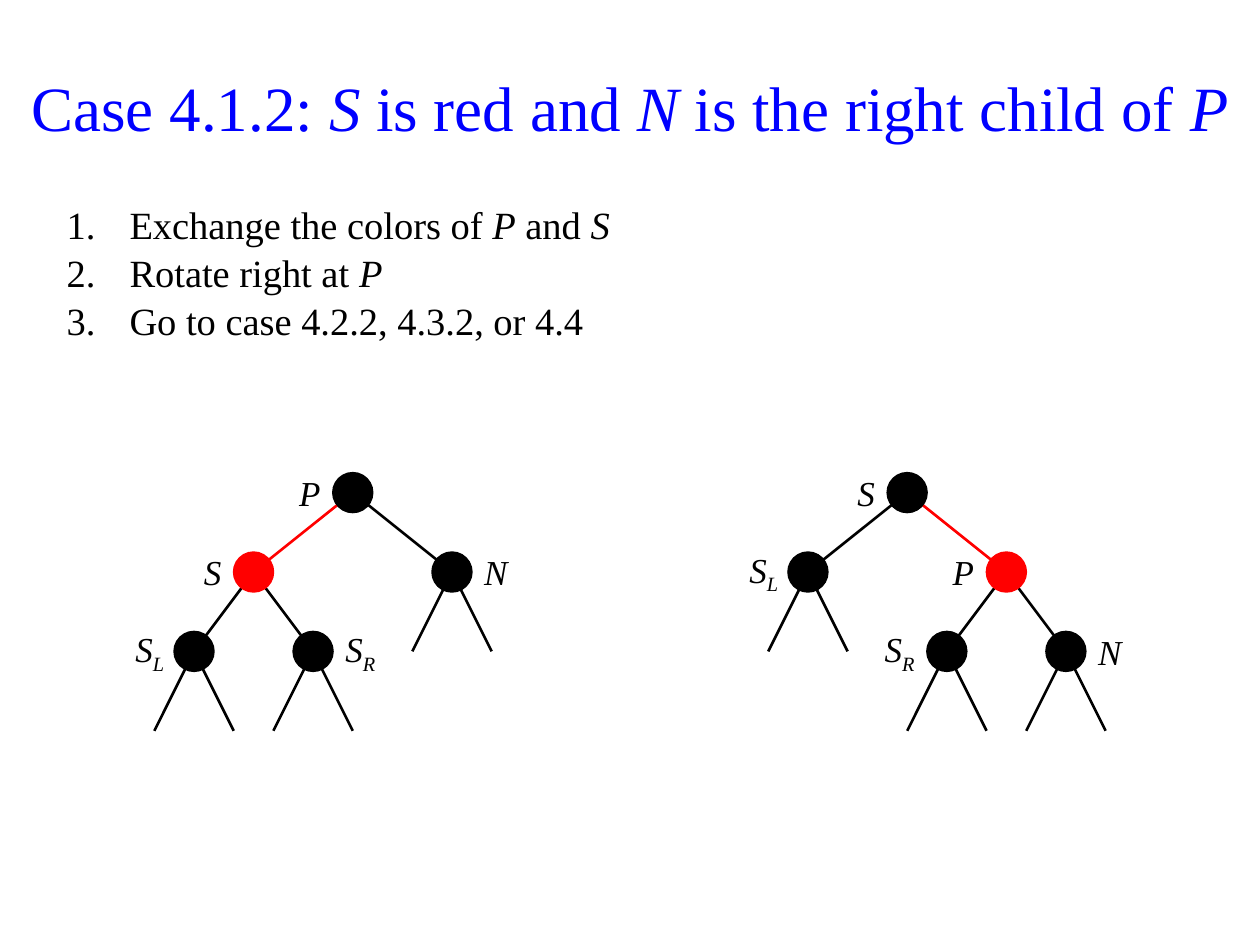
from dataclasses import dataclass
from typing import Optional

from lxml.etree import SubElement
from pptx import Presentation
from pptx.dml.color import RGBColor
from pptx.enum.shapes import MSO_CONNECTOR, MSO_SHAPE
from pptx.enum.text import MSO_ANCHOR, PP_ALIGN
from pptx.oxml.ns import qn
from pptx.util import Inches, Pt

COLORS = {"black": "000000", "red": "FF0000", "blue": "0000FF"}
FONT_NAME = "Times New Roman"
UNIT = 0.63 / 4
LEVEL = 4
ROOT_TOP = 3.91
LEAF_SPREAD = 2


@dataclass(frozen=True)
class Piece:
    text: str
    italic: bool = False
    subscript: bool = False


@dataclass(frozen=True)
class Node:
    label: str
    column: int
    level: int
    parent: Optional[int] = None
    color: str = "black"
    label_right: bool = False
    leaves: bool = True


@dataclass(frozen=True)
class Tree:
    root_left: float
    nodes: tuple[Node, ...]


def rgb(name: str) -> RGBColor:
    """Return a named palette colour."""
    return RGBColor.from_string(COLORS[name])


def apply_format(target, values: dict) -> None:
    """Set every attribute listed in values on the target."""
    for name, value in values.items():
        setattr(target, name, value)


def italic_pieces(text: str) -> list[Piece]:
    """Split text at asterisks, with every second part italic."""
    return [Piece(part, index % 2 == 1)
            for index, part in enumerate(text.split("*")) if part]


def add_text(slide, box: tuple, paragraphs: list, size: int, color="black",
             anchor=MSO_ANCHOR.MIDDLE, align=PP_ALIGN.LEFT, right_inset=0.1,
             numbered=False) -> None:
    """Add a text box with mixed italic and subscript runs."""
    frame = slide.shapes.add_textbox(*map(Inches, box)).text_frame
    apply_format(frame, {"word_wrap": True, "vertical_anchor": anchor,
                         "margin_right": Inches(right_inset)})
    for index, pieces in enumerate(paragraphs):
        paragraph = frame.add_paragraph() if index else frame.paragraphs[0]
        paragraph.alignment = align
        if numbered:
            paragraph.space_before = Pt(1)
            properties = paragraph._p.get_or_add_pPr()
            properties.set("marL", str(Inches(0.5)))
            properties.set("indent", str(Inches(-0.5)))
            SubElement(properties, qn("a:buFont"), typeface=FONT_NAME)
            SubElement(properties, qn("a:buAutoNum"), type="arabicPeriod")
        for piece in pieces:
            run = paragraph.add_run()
            run.text = piece.text
            apply_format(run.font, {"name": FONT_NAME, "size": Pt(size),
                                    "italic": piece.italic})
            run.font.color.rgb = rgb(color)
            if piece.subscript:
                run._r.get_or_add_rPr().set("baseline", "-25000")


def add_edge(slide, start: tuple, end: tuple, color: str) -> None:
    """Draw a straight tree edge between two points."""
    edge = slide.shapes.add_connector(
        MSO_CONNECTOR.STRAIGHT, *map(Inches, start + end))
    edge.line.color.rgb = rgb(color)
    edge.line.width = Pt(1.5)
    SubElement(edge._element.spPr, qn("a:effectLst"))


def add_node(slide, center: tuple, node: Node) -> None:
    """Draw a node circle and its label beside it."""
    left, top = center
    circle = slide.shapes.add_shape(MSO_SHAPE.OVAL, *map(
        Inches, (left - UNIT, top - UNIT, 2 * UNIT, 2 * UNIT)))
    circle.shadow.inherit = False
    circle.fill.solid()
    circle.fill.fore_color.rgb = rgb(node.color)
    circle.line.color.rgb = rgb(node.color)
    circle.line.width = Pt(1)
    label_left = left + (UNIT if node.label_right else -4 * UNIT)
    pieces = [Piece(letter, True, index > 0)
              for index, letter in enumerate(node.label)]
    add_text(slide, (label_left, top - 2 * UNIT, 3 * UNIT, 4 * UNIT), [pieces], 20,
             align=PP_ALIGN.LEFT if node.label_right else PP_ALIGN.RIGHT,
             right_inset=0.08 if node.label == "SL" else 0.1)


def add_tree(slide, tree: Tree) -> None:
    """Draw all edges of a tree, then its nodes."""
    def point(column: int, level: int) -> tuple:
        """Turn a grid position into inches."""
        return tree.root_left + column * UNIT, ROOT_TOP + level * LEVEL * UNIT

    for node in tree.nodes:
        center = point(node.column, node.level)
        if node.parent is not None:
            parent = tree.nodes[node.parent]
            add_edge(slide, point(parent.column, parent.level), center, node.color)
        if node.leaves:
            for shift in (-LEAF_SPREAD, LEAF_SPREAD):
                add_edge(slide, center, point(node.column + shift, node.level + 1),
                         "black")
    for node in tree.nodes:
        add_node(slide, point(node.column, node.level), node)


TREES = (
    Tree(2.8, (
        Node("P", 0, 0, leaves=False),
        Node("S", -5, 1, 0, "red", leaves=False),
        Node("N", 5, 1, 0, label_right=True),
        Node("SL", -8, 2, 1),
        Node("SR", -2, 2, 1, label_right=True),
    )),
    Tree(7.2, (
        Node("S", 0, 0, leaves=False),
        Node("SL", -5, 1, 0),
        Node("P", 5, 1, 0, "red", leaves=False),
        Node("SR", 2, 2, 2),
        Node("N", 8, 2, 2, label_right=True),
    )),
)
TITLE = "Case 4.1.2: *S* is red and *N* is the right child of *P*"
STEPS = ("Exchange the colors of *P* and *S*", "Rotate right at *P*",
         "Go to case 4.2.2, 4.3.2, or 4.4")

presentation = Presentation()
apply_format(presentation, {"slide_width": Inches(10), "slide_height": Inches(7.5)})
slide = presentation.slides.add_slide(presentation.slide_layouts[6])
add_text(slide, (0.08, 0.29, 9.84, 1.1), [italic_pieces(TITLE)], 36, "blue",
         align=PP_ALIGN.CENTER)
add_text(slide, (0.43, 1.55, 9.13, 1.26), [italic_pieces(step) for step in STEPS], 22,
         anchor=MSO_ANCHOR.TOP, numbered=True)
for tree in TREES:
    add_tree(slide, tree)
presentation.save("out.pptx")
